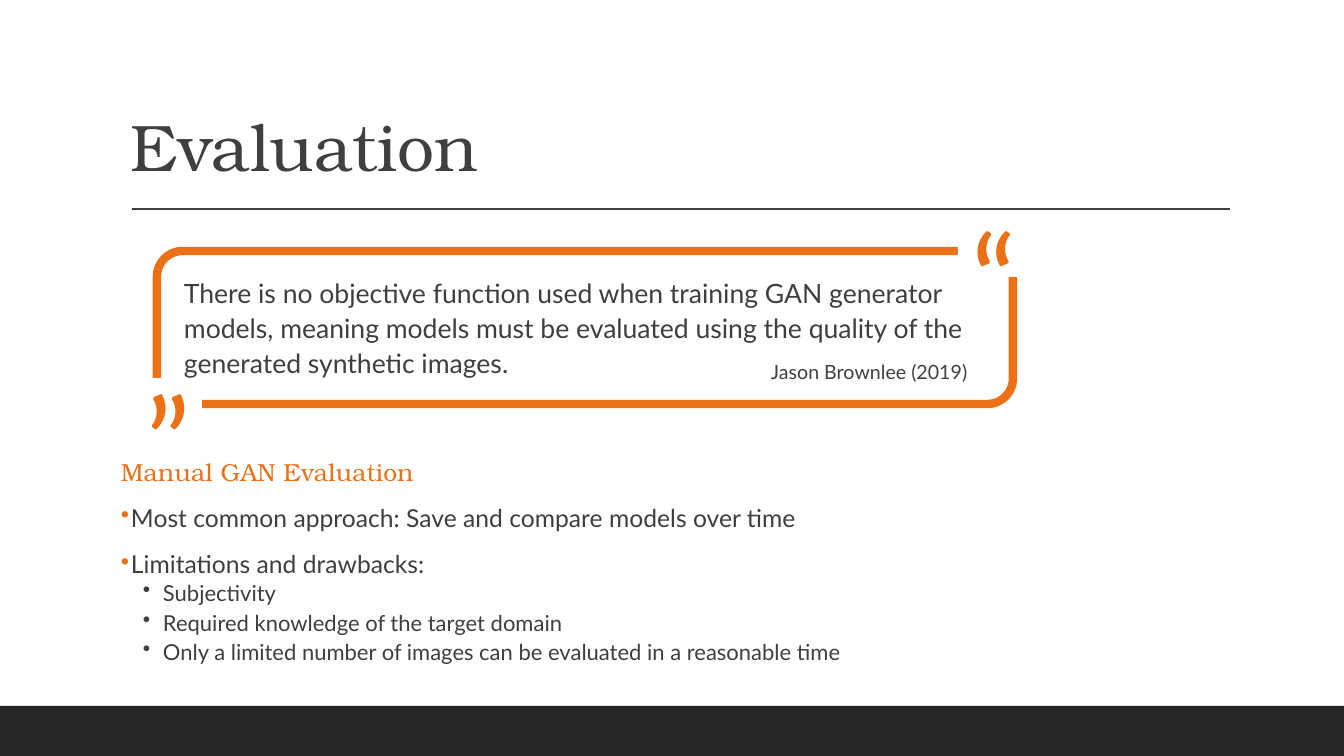
from dataclasses import dataclass
from typing import Optional

from lxml.etree import SubElement
from pptx import Presentation
from pptx.dml.color import RGBColor
from pptx.enum.shapes import MSO_CONNECTOR, MSO_SHAPE
from pptx.enum.text import MSO_ANCHOR as Anchor, MSO_AUTO_SIZE as Fit, PP_ALIGN as Align
from pptx.oxml.ns import qn
from pptx.util import Emu, Pt

DARK = RGBColor(0x26, 0x26, 0x26)
INK = RGBColor(0x3F, 0x3F, 0x3F)
GRAY = RGBColor(0x40, 0x40, 0x40)
ORANGE = RGBColor(0xEC, 0x70, 0x16)
WHITE = RGBColor(0xFF, 0xFF, 0xFF)
SANS = "Lato"
SERIF = "TeX Gyre Bonum"


def px(count: int) -> Emu:
    return Emu(round(count * 914400 / 100.8))


@dataclass(frozen=True)
class Box:
    left: int
    top: int
    width: int
    height: int

    def emu(self) -> tuple:
        return px(self.left), px(self.top), px(self.width), px(self.height)


@dataclass(frozen=True)
class Bullet:
    left: int
    hang: int
    color: RGBColor


@dataclass(frozen=True)
class Style:
    size: float
    color: RGBColor = INK
    face: str = SANS
    lead: float = 1.0
    before: float = 0
    bullet: Optional[Bullet] = None


@dataclass(frozen=True)
class Line:
    text: str
    style: Style


@dataclass(frozen=True)
class Note:
    box: Box
    lines: tuple
    inset: int = 10


HEAD = Style(47, face=SERIF, lead=0.9)
QUOTE = Style(19, lead=1.1)
MARK = Style(88, ORANGE)
CREDIT = Style(14, GRAY)
TOPIC = Style(17.6, ORANGE, SERIF, 0.9)
POINT = Style(17.6, lead=0.9, before=14, bullet=Bullet(10, 12, ORANGE))
FIRST = Style(15.7, lead=0.8, before=4, bullet=Bullet(42, 20, INK))
NEXT = Style(15.7, lead=0.8, before=6, bullet=FIRST.bullet)

SAYING = Note(Box(184, 269, 806, 126), (
    Line("There is no objective function used when training GAN generator models, "
         "meaning models must be evaluated using the quality of the generated "
         "synthetic images.", QUOTE),
), 0)
GAPS = (Box(127, 378, 75, 50), Box(958, 227, 75, 50))
NOTES = (
    Note(Box(136, 282, 51, 159), (Line("„", MARK),)),
    Note(Box(962, 197, 51, 159), (Line("“", MARK),)),
    Note(Box(761, 355, 273, 34), (Line("Jason Brownlee (2019)", CREDIT),)),
    Note(Box(121, 455, 1109, 224), (
        Line("Manual GAN Evaluation", TOPIC),
        Line("Most common approach: Save and compare models over time", POINT),
        Line("Limitations and drawbacks:", POINT),
        Line("Subjectivity", FIRST),
        Line("Required knowledge of the target domain", NEXT),
        Line("Only a limited number of images can be evaluated in a reasonable time", NEXT),
    ), 0),
)


def add_bullet(para, bullet: Bullet) -> None:
    props = para._p.get_or_add_pPr()
    props.set("marL", str(px(bullet.left)))
    props.set("indent", str(-px(bullet.hang)))
    color = SubElement(props, qn("a:buClr"))
    SubElement(color, qn("a:srgbClr")).set("val", str(bullet.color))
    SubElement(props, qn("a:buChar")).set("char", "•")


def write(frame, lines: tuple, inset: int) -> None:
    frame.word_wrap = True
    frame.auto_size = Fit.NONE
    frame.margin_left = frame.margin_right = px(inset)
    frame.margin_top = frame.margin_bottom = px(5)
    for index, line in enumerate(lines):
        para = frame.add_paragraph() if index else frame.paragraphs[0]
        style = line.style
        para.text = line.text
        if style.bullet:
            add_bullet(para, style.bullet)
        para.alignment = Align.LEFT
        para.line_spacing = style.lead
        para.space_before = Pt(style.before)
        para.font.size = Pt(style.size)
        para.font.name = style.face
        para.font.color.rgb = style.color


def add_note(slide, note: Note) -> None:
    write(slide.shapes.add_textbox(*note.box.emu()).text_frame, note.lines, note.inset)


def add_block(slide, box: Box, color: RGBColor) -> None:
    block = slide.shapes.add_shape(MSO_SHAPE.RECTANGLE, *box.emu())
    block.shadow.inherit = False
    block.fill.solid()
    block.fill.fore_color.rgb = color
    block.line.fill.background()


def add_frame(slide, box: Box) -> None:
    frame = slide.shapes.add_shape(MSO_SHAPE.ROUNDED_RECTANGLE, *box.emu())
    frame.shadow.inherit = False
    frame.fill.background()
    frame.line.color.rgb = ORANGE
    frame.line.width = Pt(6)


def add_rule(slide, left: int, right: int, top: int) -> None:
    rule = slide.shapes.add_connector(
        MSO_CONNECTOR.STRAIGHT, px(left), px(top), px(right), px(top))
    rule.line.color.rgb = INK
    rule.line.width = Pt(1)
    SubElement(rule._element.spPr, qn("a:effectLst"))


def set_title(slide, box: Box, text: str) -> None:
    title = slide.shapes.title
    title.left, title.top, title.width, title.height = box.emu()
    write(title.text_frame, (Line(text, HEAD),), 10)
    title.text_frame.vertical_anchor = Anchor.BOTTOM


def main() -> None:
    deck = Presentation()
    deck.slide_width, deck.slide_height = px(1344), px(756)
    slide = deck.slides.add_slide(deck.slide_layouts[5])
    add_block(slide, Box(0, 706, 1344, 50), DARK)
    add_rule(slide, 132, 1230, 209)
    set_title(slide, Box(121, 31, 1109, 160), "Evaluation")
    add_note(slide, SAYING)
    add_frame(slide, Box(157, 251, 856, 153))
    for gap in GAPS:
        add_block(slide, gap, WHITE)
    for note in NOTES:
        add_note(slide, note)
    deck.save("out.pptx")


if __name__ == "__main__":
    main()
